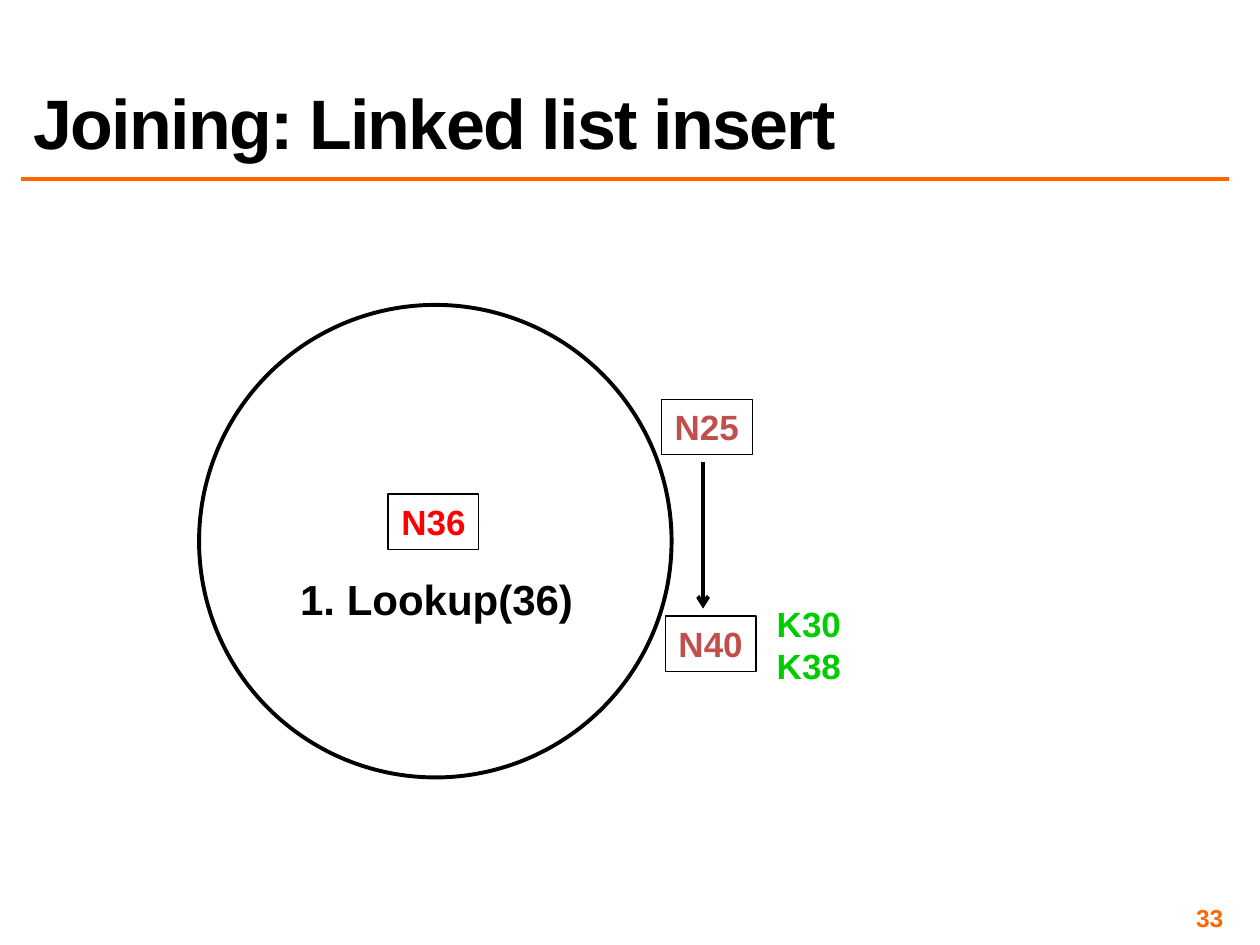
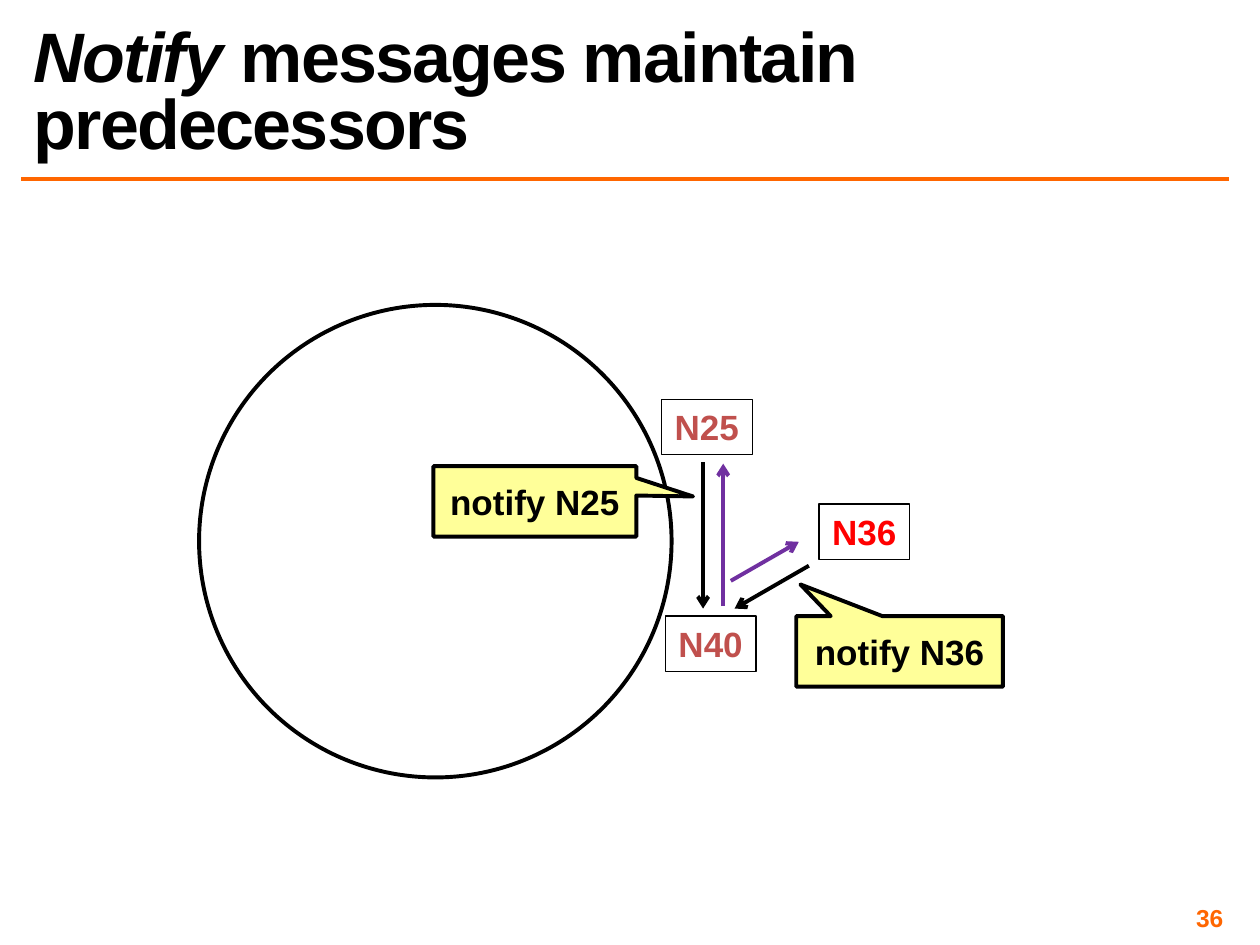
from pptx import Presentation
from pptx.dml.color import RGBColor
from pptx.enum.shapes import MSO_CONNECTOR, MSO_SHAPE
from pptx.enum.text import MSO_ANCHOR, PP_ALIGN
from pptx.oxml.ns import qn
from pptx.util import Inches, Pt
from lxml import etree

COLORS = {
    "ink": "000000",
    "accent": "FF6600",
    "node": "C0504D",
    "new_node": "FF0000",
    "key": "00CC00",
    "notify": "7030A0",
    "callout": "FFFF99",
}


def add_text(s, box, text, size, color, shape=None, line=0.75, fill=None,
             align=PP_ALIGN.CENTER, anchor=MSO_ANCHOR.TOP, wrap=False):
    box = [Inches(v) for v in box]
    if shape is None:
        sp = s.shapes.add_textbox(*box)
    else:
        sp = s.shapes.add_shape(shape, *box)
        sp.shadow.inherit = False
        sp.line.color.rgb = RGBColor.from_string(COLORS["ink"])
        sp.line.width = Pt(line)
        if fill:
            sp.fill.solid()
            sp.fill.fore_color.rgb = RGBColor.from_string(COLORS[fill])
        else:
            sp.fill.background()
    tf = sp.text_frame
    tf.text = text
    tf.word_wrap = wrap
    tf.vertical_anchor = anchor
    for p in tf.paragraphs:
        p.alignment = align
        for r in p.runs:
            r.font.name = "Arial"
            r.font.size = Pt(size)
            r.font.bold = True
            r.font.color.rgb = RGBColor.from_string(COLORS[color])
    return sp


def add_line(s, x1, y1, x2, y2, color, width=2.25, arrow=True):
    ln = s.shapes.add_connector(
        MSO_CONNECTOR.STRAIGHT, Inches(x1), Inches(y1), Inches(x2), Inches(y2))
    ln.line.color.rgb = RGBColor.from_string(COLORS[color])
    ln.line.width = Pt(width)
    if arrow:
        etree.SubElement(ln.line._get_or_add_ln(), qn("a:tailEnd"), type="arrow")
    etree.SubElement(ln._element.spPr, qn("a:effectLst"))


prs = Presentation()
prs.slide_width, prs.slide_height = Inches(10), Inches(7.5)

pages = [
    ("33", "", "Joining: Linked list insert", (3.08, 3.92)),
    ("36", "Notify", " messages maintain predecessors", (6.5, 4)),
]
slides = []
for number, emphasis, title, new_node_at in pages:
    s = prs.slides.add_slide(prs.slide_layouts[6])
    slides.append(s)
    add_line(s, 0.17, 1.42, 9.75, 1.42, "accent", 2, arrow=False)
    sp = add_text(s, (7.42, 7.17, 2.33, 0.23), number, 14, "accent",
                  align=PP_ALIGN.RIGHT, anchor=MSO_ANCHOR.MIDDLE, wrap=True)
    tf = sp.text_frame
    tf.margin_left = tf.margin_right = Inches(0.04)
    tf.margin_top = tf.margin_bottom = Inches(0.04)

    sp = add_text(s, (0.17, 0.17, 9.58, 1.17), "", 40, "ink",
                  align=PP_ALIGN.LEFT, anchor=MSO_ANCHOR.BOTTOM, wrap=True)
    p = sp.text_frame.paragraphs[0]
    p.line_spacing = 0.8
    for text, italic in ((emphasis, True), (title, False)):
        if text:
            r = p.add_run()
            r.text = text
            r.font.name = "Arial"
            r.font.size = Pt(40)
            r.font.bold = True
            r.font.italic = italic
            r.font.color.rgb = RGBColor.from_string(COLORS["ink"])
            r.font._element.set("spc", "-100")

    add_text(s, (1.58, 2.42, 3.75, 3.75), "", 20, "ink", MSO_SHAPE.OVAL, 2.25)
    for name, (x, y), color in (("N36", new_node_at, "new_node"),
                                ("N40", (5.28, 4.89), "node"),
                                ("N25", (5.25, 3.17), "node")):
        add_text(s, (x, y, 0.72, 0.44), name, 20, color, MSO_SHAPE.RECTANGLE)
    add_line(s, 5.58, 3.67, 5.58, 4.83, "ink")

joining, notifying = slides
add_text(joining, (2.27, 4.5, 2.39, 0.5), "1. Lookup(36)", 24, "ink")
add_text(joining, (6.06, 4.73, 0.72, 0.77), "K30\nK38", 20, "key")

add_line(notifying, 6.42, 4.49, 5.83, 4.83, "ink")
for text, box, tip in (
    ("notify N36", (6.32, 4.89, 1.64, 0.56), (-0.48, -0.95)),
    ("notify N25", (3.44, 3.7, 1.61, 0.56), (0.78, -0.07)),
):
    sp = add_text(notifying, box, text, 20, "ink", MSO_SHAPE.RECTANGULAR_CALLOUT,
                  2.25, "callout", anchor=MSO_ANCHOR.MIDDLE, wrap=True)
    sp.adjustments[0], sp.adjustments[1] = tip
add_line(notifying, 5.74, 4.81, 5.74, 3.68, "notify")
add_line(notifying, 5.8, 4.61, 6.34, 4.3, "notify")

prs.save("out.pptx")
